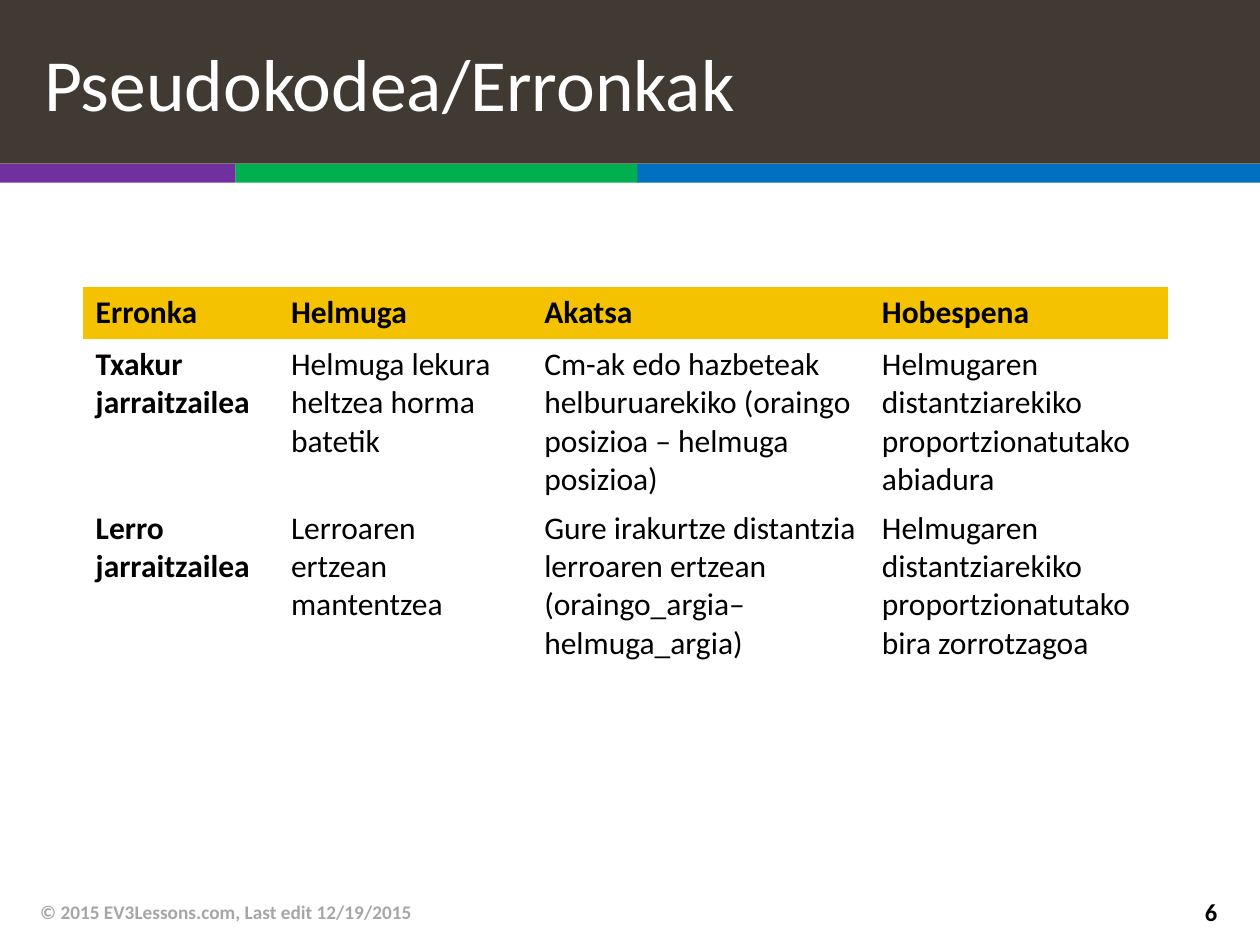
from pptx import Presentation
from pptx.dml.color import RGBColor
from pptx.enum.shapes import MSO_SHAPE
from pptx.enum.text import MSO_ANCHOR, PP_ALIGN
from pptx.oxml.ns import qn
from pptx.util import Inches, Pt

RECT = MSO_SHAPE.RECTANGLE
MIDDLE = MSO_ANCHOR.MIDDLE
LEFT, RIGHT = PP_ALIGN.LEFT, PP_ALIGN.RIGHT

FONT = "Calibri"
NO_STYLE = "{2D5ABB26-0587-4C30-8999-92F81FD0307C}"
COLORS = {
    "title": "413A33",
    "purple": "7030A0",
    "green": "00B050",
    "blue": "0070C0",
    "header": "F5C201",
    "footer": "A6A6A6",
    "black": "000000",
    "white": "FFFFFF",
}
STRIPES = [("purple", 0, 1.87), ("green", 1.87, 3.2), ("blue", 5.06, 4.94)]
COL_WIDTHS = [1.55, 2.01, 2.68, 2.37]
ROW_HEIGHTS = [0.41, 1.3, 1.3]
ROWS = [
    ["Erronka", "Helmuga", "Akatsa", "Hobespena"],
    [
        "Txakur jarraitzailea",
        "Helmuga lekura heltzea horma batetik",
        "Cm-ak edo hazbeteak helburuarekiko (oraingo posizioa – helmuga posizioa)",
        "Helmugaren distantziarekiko proportzionatutako abiadura",
    ],
    [
        "Lerro jarraitzailea",
        "Lerroaren ertzean mantentzea",
        "Gure irakurtze distantzia lerroaren ertzean\v(oraingo_argia– helmuga_argia)",
        "Helmugaren distantziarekiko proportzionatutako bira zorrotzagoa",
    ],
]


def rgb(name):
    return RGBColor.from_string(COLORS[name])


def write(tf, text, size=18, color="black", bold=False, align=LEFT):
    tf.word_wrap = True
    p = tf.paragraphs[0]
    p.text = text
    p.alignment = align
    for r in p.runs:
        r.font.name = FONT
        r.font.size = Pt(size)
        r.font.bold = bold
        r.font.color.rgb = rgb(color)


def add_bar(slide, x, y, w, h, color):
    sp = slide.shapes.add_shape(RECT, Inches(x), Inches(y), Inches(w), Inches(h))
    sp.shadow.inherit = False
    sp.fill.solid()
    sp.fill.fore_color.rgb = rgb(color)
    sp.line.fill.background()
    return sp


def add_text(slide, x, y, w, h, text, **fmt):
    sp = slide.shapes.add_textbox(Inches(x), Inches(y), Inches(w), Inches(h))
    sp.text_frame.vertical_anchor = MIDDLE
    write(sp.text_frame, text, **fmt)


def add_title(slide, text):
    tf = add_bar(slide, 0, 0, 10, 1.3, "title").text_frame
    tf.vertical_anchor = MIDDLE
    tf.margin_left = Inches(0.35)
    write(tf, text, size=42, color="white")


def add_challenge_table(slide, x, y):
    frame = slide.shapes.add_table(
        len(ROWS), len(COL_WIDTHS), Inches(x), Inches(y),
        Inches(sum(COL_WIDTHS)), Inches(sum(ROW_HEIGHTS)))
    table = frame.table
    table.horz_banding = False
    table._tbl.tblPr.find(qn("a:tableStyleId")).text = NO_STYLE
    for col, width in zip(table.columns, COL_WIDTHS):
        col.width = Inches(width)
    for i, (row, height) in enumerate(zip(table.rows, ROW_HEIGHTS)):
        row.height = Inches(height)
        for j, cell in enumerate(row.cells):
            if i == 0:
                cell.fill.solid()
                cell.fill.fore_color.rgb = rgb("header")
            else:
                cell.fill.background()
            write(cell.text_frame, ROWS[i][j], bold=i == 0 or j == 0)


def main():
    prs = Presentation()
    prs.slide_width, prs.slide_height = Inches(10), Inches(7.5)
    slide = prs.slides.add_slide(prs.slide_layouts[6])
    for color, x, w in STRIPES:
        add_bar(slide, x, 1.3, w, 0.15, color)
    add_text(slide, 0.22, 7.04, 6.7, 0.4,
             "© 2015 EV3Lessons.com, Last edit 12/19/2015",
             size=11, color="footer", bold=True)
    add_text(slide, 9.07, 7.04, 0.69, 0.39, "6", size=14, bold=True, align=RIGHT)
    add_title(slide, "Pseudokodea/Erronkak")
    add_challenge_table(slide, 0.66, 2.28)
    prs.save("out.pptx")


if __name__ == "__main__":
    main()
